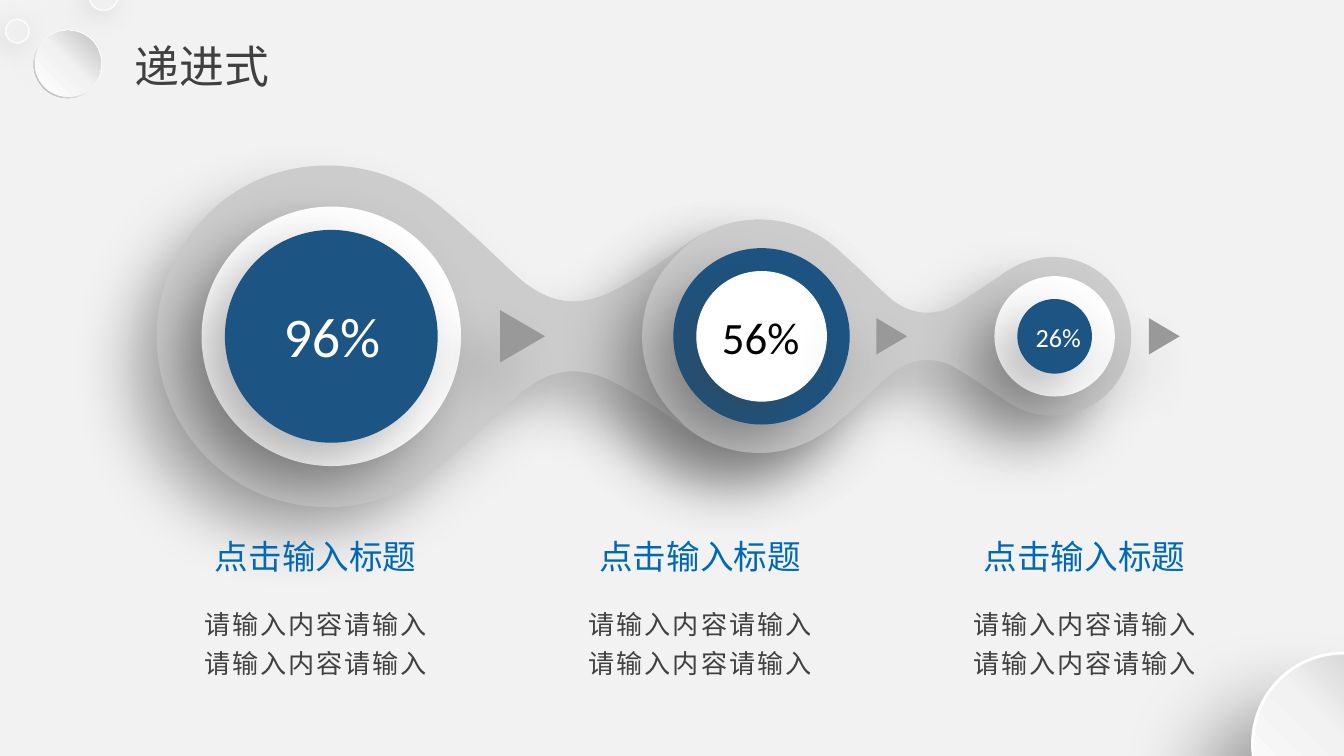
import dataclasses

import pptx
import pptx.dml.color
import pptx.enum.shapes
import pptx.enum.text
import pptx.oxml
import pptx.oxml.ns
import pptx.util

Pt = pptx.util.Pt
RGB = pptx.dml.color.RGBColor.from_string
SHAPES = pptx.enum.shapes.MSO_SHAPE
ALIGN = pptx.enum.text.PP_ALIGN
qn = pptx.oxml.ns.qn
NAMESPACE = pptx.oxml.ns.nsdecls("a")


@dataclasses.dataclass(frozen=True)
class Theme:
    background: str = "F2F2F2"
    pearl: str = "F0F0F0"
    white: str = "FFFFFF"
    black: str = "000000"
    blue: str = "1C5483"
    heading: str = "0068B4"
    text: str = "404040"
    link: str = "CCCCCC"
    arrow: str = "999999"
    latin: str = "Calibri"
    chinese: str = "Noto Sans CJK SC"
    title_font: str = "Arial"
    title_size: int = 24
    heading_size: int = 18
    body_size: int = 14


THEME = Theme()

# Shadows: colour, opacity in percent, blur and distance in points.
DEEP = ("000000", 20, 45, 40)
CORNER = ("000000", 36, 45, 40)
FAINT = ("000000", 10, 15, 4)
SOFT = ("595959", 40, 30, 23)
RING = ("404040", 40, 30, 20)
DISC = ("404040", 40, 30, 16)

AXIS = 180.2  # height of the line on which the whole chain is centred

# Upper halves of the links: x and height above the axis.
# After the start, each row holds the three points of one Bezier curve.
LARGE_LINK = [
    (84, 0),
    (84, 25), (94, 48), (111, 65),
    (127.5, 82), (150.5, 91.5), (175.5, 91.5),
    (197.5, 91.5), (217.5, 84), (233.5, 71.5),
    (255, 54), (268.5, 39.5), (279.5, 30),
    (281, 29), (282, 27.5), (283.5, 27),
    (294.5, 19), (307.5, 15.5), (324.5, 22.5),
    (336, 27.5), (350.5, 37), (370, 51),
    (381, 58), (393, 62.5), (407, 62.5),
    (441.5, 62.5), (469.5, 35), (469.5, 0),
]
SMALL_LINK = [
    (344, 0),
    (344, 17.5), (351, 32.5), (363, 44),
    (373.5, 55.5), (389.5, 62.5), (407, 62.5),
    (421, 62.5), (435, 57), (445.5, 49),
    (461, 36.5), (469.5, 26.5), (477.5, 20),
    (478, 19.5), (479, 18.5), (480, 18),
    (487.5, 13), (497, 10.5), (508.5, 15),
    (516, 19), (525.5, 25.5), (539.5, 35),
    (546.5, 39.5), (554.5, 42.5), (564, 42.5),
    (587.5, 42.5), (606, 23.5), (606, 0),
]


class SlideBuilder:
    def __init__(self, slide, theme):
        self.slide = slide
        self.theme = theme
        slide.background.fill.solid()
        slide.background.fill.fore_color.rgb = RGB(theme.background)

    def finish(self, shape, fill, line=None, shadow=None):
        """Set fill, outline (a width in points) and shadow of a shape."""
        if fill:
            shape.fill.solid()
            shape.fill.fore_color.rgb = RGB(fill)
        if line:
            shape.line.color.rgb = RGB(self.theme.white)
            shape.line.width = Pt(line)
        else:
            shape.line.fill.background()
        shape.shadow.inherit = False
        if shadow:
            color, opacity, blur, distance = shadow
            effects = shape._element.spPr.find(qn("a:effectLst"))
            effects.append(pptx.oxml.parse_xml(
                f'<a:outerShdw {NAMESPACE} blurRad="{Pt(blur)}" dist="{Pt(distance)}" '
                f'dir="8100000" algn="tr" rotWithShape="0"><a:srgbClr val="{color}">'
                f'<a:alpha val="{opacity * 1000}"/></a:srgbClr></a:outerShdw>'))

    def circle(self, x, y, diameter, fill=None, line=None, shadow=None, donut=False):
        """Add a circle, or a thin donut, around the centre x, y."""
        kind = SHAPES.DONUT if donut else SHAPES.OVAL
        shape = self.slide.shapes.add_shape(
            kind, Pt(x - diameter / 2), Pt(y - diameter / 2), Pt(diameter), Pt(diameter))
        if donut:
            shape.adjustments[0] = 0.05
        self.finish(shape, fill, line, shadow)
        return shape

    def gradient(self, shape, middle, end, direction):
        """Fill from white through the background grey to a darker end."""
        stops = ((0, self.theme.white), (middle, self.theme.background), (100, end))
        stop_xml = "".join(
            f'<a:gs pos="{position * 1000}"><a:srgbClr val="{color}"/></a:gs>'
            for position, color in stops)
        shape.fill.background()
        properties = shape._element.spPr
        properties.replace(properties.find(qn("a:noFill")), pptx.oxml.parse_xml(
            f'<a:gradFill {NAMESPACE} rotWithShape="1"><a:gsLst>{stop_xml}</a:gsLst>'
            f'{direction}</a:gradFill>'))

    def outline(self, points, fill):
        builder = self.slide.shapes.build_freeform(Pt(points[0][0]), Pt(points[0][1]))
        builder.add_line_segments([(Pt(x), Pt(y)) for x, y in points[1:]])
        shape = builder.convert_to_shape()
        self.finish(shape, fill, shadow=SOFT)
        return shape

    def link(self, upper):
        """Mirror the upper half and turn each three points into a curve."""
        points = [(x, AXIS - rise) for x, rise in upper]
        points += [(x, AXIS + rise) for x, rise in reversed(upper[:-1])]
        shape = self.outline(points, self.theme.link)
        segments = list(shape._element.iter(qn("a:lnTo")))
        for first in range(0, len(segments), 3):
            curve = pptx.oxml.parse_xml(f"<a:cubicBezTo {NAMESPACE}/>")
            segments[first].addprevious(curve)
            for segment in segments[first:first + 3]:
                curve.append(segment[0])
                segment.getparent().remove(segment)

    def arrow(self, left, width, height):
        self.outline([(left, AXIS - height / 2), (left + width, AXIS),
                      (left, AXIS + height / 2), (left, AXIS - height / 2)],
                     self.theme.arrow)

    def style(self, para, font, size, color, align=ALIGN.CENTER, spacing=0):
        para.alignment = align
        para.font.name = font
        para.font.size = Pt(size)
        para.font.color.rgb = RGB(color)
        defaults = para._p.get_or_add_pPr().find(qn("a:defRPr"))
        defaults.append(pptx.oxml.parse_xml(f'<a:ea {NAMESPACE} typeface="{font}"/>'))
        if spacing:
            defaults.set("spc", str(spacing * 100))

    def text(self, lines, x, top, width, height, font, size, color,
             line_spacing=None, spacing=0, padded=False):
        """Add centred lines in a box whose middle is at x."""
        box = self.slide.shapes.add_textbox(
            Pt(x - width / 2), Pt(top), Pt(width), Pt(height))
        frame = box.text_frame
        frame.word_wrap = not padded
        if not padded:
            frame.margin_left = frame.margin_right = 0
            frame.margin_top = frame.margin_bottom = 0
        frame.text = "\n".join(lines)
        for para in frame.paragraphs:
            self.style(para, font, size, color, spacing=spacing)
            if line_spacing:
                para.line_spacing = line_spacing

    def title(self, wording):
        title = self.slide.shapes.title
        title.left, title.top, title.width, title.height = Pt(65), Pt(17.3), Pt(329), Pt(55.4)
        title.text_frame.text = wording
        title.text_frame.vertical_anchor = pptx.enum.text.MSO_ANCHOR.TOP
        self.style(title.text_frame.paragraphs[0], self.theme.title_font,
                   self.theme.title_size, self.theme.text, ALIGN.LEFT)


def main():
    deck = pptx.Presentation()
    deck.slide_width, deck.slide_height = Pt(720), Pt(405)
    page = SlideBuilder(deck.slides.add_slide(deck.slide_layouts[5]), THEME)
    page.title("递进式")

    for x, y, diameter in ((9.3, 16.7, 13), (55.5, -2.2, 16)):
        page.circle(x, y, diameter, THEME.pearl, 0.5, DEEP, donut=True)
        page.circle(x, y, diameter - 0.7, THEME.pearl, 0.5, FAINT)
    rim = page.circle(36.4, 34.2, 36.7, donut=True)
    page.gradient(rim, 55, "A6A6A6", '<a:lin ang="8100000" scaled="0"/>')
    button = page.circle(36.4, 34.2, 35.3)
    page.gradient(button, 51, "BFBFBF", '<a:lin ang="18900000" scaled="0"/>')

    page.link(LARGE_LINK)
    page.circle(177.5, AXIS, 139, THEME.white, shadow=RING)
    page.circle(177.5, AXIS, 114, THEME.blue, shadow=DISC)
    page.link(SMALL_LINK)
    page.circle(408, AXIS, 94.5, THEME.blue, shadow=SOFT)
    page.circle(408, AXIS, 70, THEME.white, shadow=DISC)
    page.circle(565, AXIS, 64.5, THEME.white, shadow=SOFT)
    page.circle(565, AXIS, 40, THEME.blue, shadow=DISC)
    for left, width, height in ((268, 24, 28), (469.5, 16.5, 19.5), (615.5, 16.5, 19.5)):
        page.arrow(left, width, height)

    for value, x, width, height, size, color in (
            ("96%", 177.8, 70.5, 46, 30, THEME.white),
            ("56%", 407.5, 59, 38, 24, THEME.black),
            ("26%", 567, 47, 25, 14, THEME.white)):
        page.text([value], x, 181.2 - height / 2, width, height,
                  THEME.latin, size, color, padded=True)

    for column in range(3):
        x = 169.2 + 205.9 * column
        page.text(["请输入内容请输入"] * 2, x, 321.5, 137, 40, THEME.chinese,
                  THEME.body_size, THEME.text, line_spacing=1.25, spacing=1)
        page.text(["点击输入标题"], x, 287.3, 124, 21.6, THEME.chinese,
                  THEME.heading_size, THEME.heading)

    corner = page.circle(719.6, 398.5, 97.2, line=1.5, shadow=CORNER)
    corner.rotation = 270
    page.gradient(corner, 50, "BFBFBF",
                  '<a:path path="circle"><a:fillToRect t="100000" r="100000"/></a:path>')
    deck.save("out.pptx")


if __name__ == "__main__":
    main()
